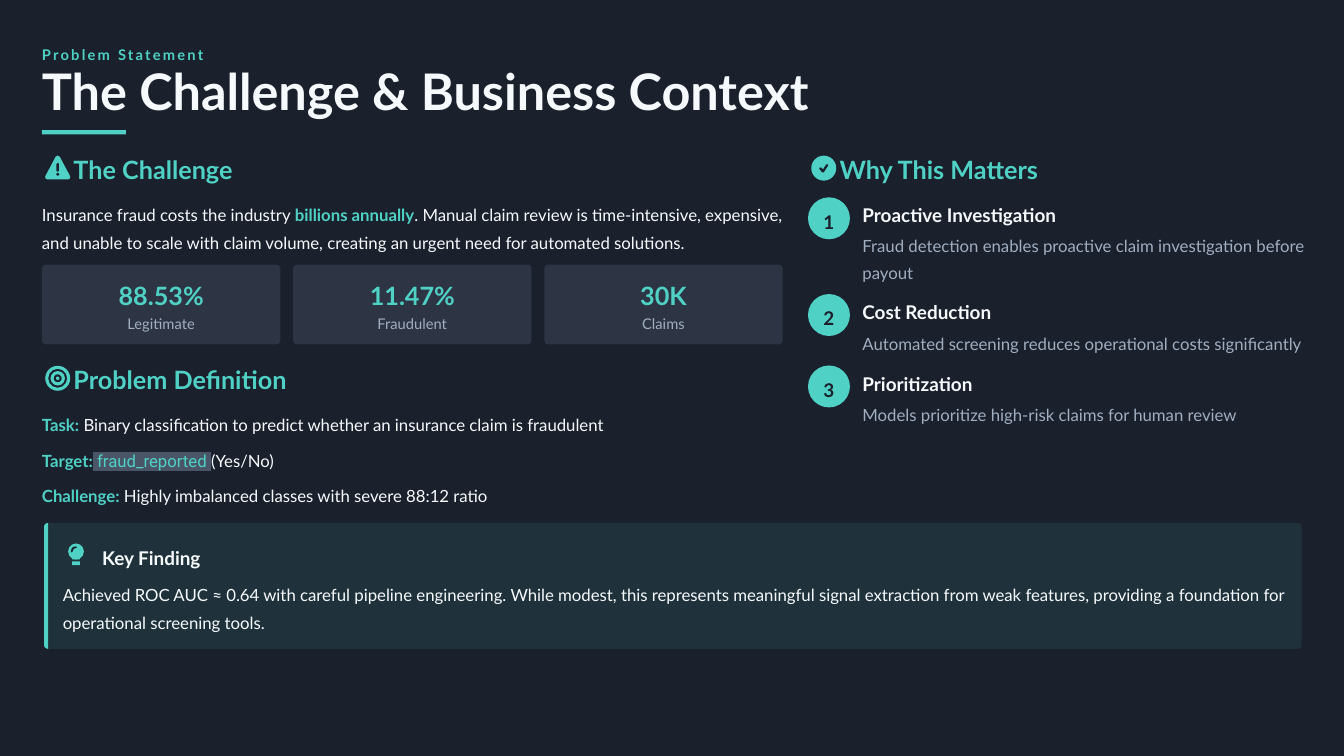
import math

import lxml.etree
import pptx
import pptx.dml.color
import pptx.enum.shapes
import pptx.enum.text
import pptx.oxml.ns
import pptx.util

Cm = pptx.util.Cm
SHAPE = pptx.enum.shapes.MSO_SHAPE
ALIGN = pptx.enum.text.PP_ALIGN
qn = pptx.oxml.ns.qn

COLOURS = {"night": "1A202C", "teal": "4FD1C5", "white": "F7FAFC",
           "grey": "A0AEC0", "slate": "4A5568"}
# Each style: colour name, font attributes
STYLES = {
    "eyebrow": ("teal", {"size": 14, "bold": True}),
    "title": ("white", {"size": 48, "bold": True}),
    "heading": ("teal", {"size": 24, "bold": True}),
    "item": ("white", {"size": 18, "bold": True}),
    "number": ("night", {"size": 18, "bold": True}),
    "body": ("white", {"size": 16, "bold": False}),
    "strong": ("teal", {"size": 16, "bold": True}),
    "code": ("teal", {"size": 16, "bold": False, "name": "Roboto"}),
    "detail": ("grey", {"size": 16, "bold": False}),
    "label": ("grey", {"size": 14, "bold": False}),
}
FRAME = {"margin_left": 0, "margin_top": 0, "margin_right": 0, "margin_bottom": 0,
         "word_wrap": True, "auto_size": pptx.enum.text.MSO_AUTO_SIZE.NONE,
         "vertical_anchor": pptx.enum.text.MSO_ANCHOR.MIDDLE}

# Icon parts: preset or points, box as fractions of the icon, colour, adjustment
WARNING = [
    ([(0.5, 0), (0.58, 0.04), (1, 0.83), (0.99, 0.91), (0.92, 0.95),
      (0.08, 0.95), (0.01, 0.91), (0, 0.83), (0.42, 0.04)], None, "teal", None),
    (SHAPE.ROUNDED_RECTANGLE, (0.45, 0.3, 0.1, 0.34), "night", 0.5),
    (SHAPE.OVAL, (0.44, 0.69, 0.12, 0.11), "night", None),
]
TARGET = [
    (SHAPE.DONUT, (0, 0, 1, 1), "teal", 0.12),
    (SHAPE.DONUT, (0.21, 0.21, 0.58, 0.58), "teal", 0.22),
    (SHAPE.OVAL, (0.43, 0.43, 0.14, 0.14), "teal", None),
]
CHECK = [
    (SHAPE.OVAL, (0, 0, 1, 1), "teal", None),
    ([(0.32, 0.49), (0.39, 0.47), (0.47, 0.55), (0.6, 0.35), (0.67, 0.35),
      (0.67, 0.4), (0.5, 0.67), (0.44, 0.67), (0.33, 0.54)], None, "night", None),
]
BULB = [
    (SHAPE.OVAL, (0, 0, 1, 0.74), "teal", None),
    (SHAPE.RECTANGLE, (0.25, 0.6, 0.5, 0.14), "teal", None),
    (SHAPE.ROUND_2_SAME_RECTANGLE, (0.25, 0.83, 0.5, 0.17), "teal", 0),
    ([(0.18, 0.36), (0.22, 0.23), (0.35, 0.15), (0.5, 0.14), (0.56, 0.17),
      (0.5, 0.21), (0.35, 0.25), (0.28, 0.38), (0.22, 0.42)], None, "night", None),
]


def rgb(name):
    return pptx.dml.color.RGBColor.from_string(COLOURS[name])


def paint(shape, colour, alpha=None):
    shape.shadow.inherit = False
    shape.fill.solid()
    shape.fill.fore_color.rgb = rgb(colour)
    shape.line.fill.background()
    if alpha is not None:
        node = shape.fill._xPr.find(".//" + qn("a:srgbClr"))
        lxml.etree.SubElement(node, qn("a:alpha")).set("val", str(alpha * 1000))
    return shape


def add_preset(page, kind, box, colour, adjust=None, alpha=None):
    shape = page.shapes.add_shape(kind, *map(Cm, box))
    if adjust is not None:
        shape.adjustments[0] = adjust
    return paint(shape, colour, alpha)


def add_outline(page, points, colour):
    places = [(Cm(x), Cm(y)) for x, y in points]
    builder = page.shapes.build_freeform(*places[0])
    builder.add_line_segments(places[1:], close=True)
    return paint(builder.convert_to_shape(), colour)


def write(shape, paras, spacing, align=ALIGN.LEFT, gap=0):
    """Fill a shape with paragraphs, each a list of (text, style) spans."""
    frame = shape.text_frame
    for key, value in FRAME.items():
        setattr(frame, key, value)
    for index, spans in enumerate(paras):
        para = frame.add_paragraph() if index else frame.paragraphs[0]
        if shape.is_placeholder:
            props = para._p.get_or_add_pPr()
            props.set("marL", "0")
            props.set("indent", "0")
            lxml.etree.SubElement(props, qn("a:buNone"))
        layout = {"alignment": align, "line_spacing": spacing, "space_after": 0,
                  "space_before": pptx.util.Pt(gap if index else 0)}
        for key, value in layout.items():
            setattr(para, key, value)
        for text, style in spans:
            span = para.add_run()
            span.text = text
            colour, values = STYLES[style]
            for key, value in {"name": "Lato", **values}.items():
                setattr(span.font, key, pptx.util.Pt(value) if key == "size" else value)
            span.font.color.rgb = rgb(colour)
            props = span._r.get_or_add_rPr()
            if style == "eyebrow":
                props.set("spc", "210")
            if style == "code":
                mark = lxml.etree.Element(qn("a:highlight"))
                lxml.etree.SubElement(mark, qn("a:srgbClr")).set("val", COLOURS["slate"])
                props.find(qn("a:latin")).addprevious(mark)


def add_text(page, box, spans, spacing, align=ALIGN.LEFT):
    write(page.shapes.add_textbox(*map(Cm, box)), [spans], spacing, align)


def fill_placeholder(shape, box, paras, spacing, gap=0):
    shape.left, shape.top, shape.width, shape.height = map(Cm, box)
    write(shape, paras, spacing, gap=gap)


def add_icon(page, parts, box):
    left, top, width, height = box
    for kind, part, colour, adjust in parts:
        if isinstance(kind, list):
            add_outline(page, [(left + x * width, top + y * height) for x, y in kind], colour)
        else:
            x, y, w, h = part
            place = (left + x * width, top + y * height, w * width, h * height)
            add_preset(page, kind, place, colour, adjust)


def add_header(page, left, top, width):
    add_text(page, (left, top, width, 0.71), [("Problem Statement", "eyebrow")], 1.2)
    fill_placeholder(page.shapes.title, (left, top + 0.98, width, 1.7),
                     [[("The Challenge & Business Context", "title")]], 0.8)
    add_preset(page, SHAPE.RECTANGLE, (left, top + 2.96, 2.82, 0.15), "teal")


def add_heading(page, left, top, width, icon, text):
    add_icon(page, icon, (left + 0.11, top + 0.15, 0.84, 0.84))
    add_text(page, (left + 1.06, top, width - 1.06, 1.12), [(text, "heading")], 1.1)


def add_challenge(page, left, top, width):
    add_heading(page, left, top, width, WARNING, "The Challenge")
    add_text(page, (left, top + 1.55, width, 1.83), [
        ("Insurance fraud costs the industry ", "body"), ("billions annually", "strong"),
        (". Manual claim review is time-intensive, expensive, and unable to scale with claim "
         "volume, creating an urgent need for automated solutions.", "body")], 1.4)
    # Figure cards
    figures = [("88.53%", "Legitimate"), ("11.47%", "Fraudulent"), ("30K", "Claims")]
    card, gap, row = 8.01, 0.43, top + 3.81
    for index, (value, label) in enumerate(figures):
        x = left + index * (card + gap)
        add_preset(page, SHAPE.ROUNDED_RECTANGLE, (x, row, card, 2.68), "slate", 0.05, 40)
        add_text(page, (x, row + 0.44, card, 1.12), [(value, "heading")], 1.1, ALIGN.CENTER)
        add_text(page, (x, row + 1.56, card, 0.71), [(label, "label")], 1.2, ALIGN.CENTER)


def add_definition(page, left, top, width):
    add_heading(page, left, top, width, TARGET, "Problem Definition")
    fill_placeholder(page.placeholders[1], (left, top + 1.55, width, 3.3), [
        [("Task:", "strong"),
         (" Binary classification to predict whether an insurance claim is fraudulent", "body")],
        [("Target:", "strong"), (" fraud_reported ", "code"), ("(Yes/No)", "body")],
        [("Challenge:", "strong"),
         (" Highly imbalanced classes with severe 88:12 ratio", "body")]], 1.4, gap=7)


def add_reasons(page, left, top, width):
    add_heading(page, left, top, width, CHECK, "Why This Matters")
    # Title, detail, number of detail lines
    reasons = [
        ("Proactive Investigation",
         "Fraud detection enables proactive claim investigation before payout", 2),
        ("Cost Reduction", "Automated screening reduces operational costs significantly", 1),
        ("Prioritization", "Models prioritize high-risk claims for human review", 1)]
    y, x = top + 1.55, left + 1.83
    for number, (title, detail, lines) in enumerate(reasons, 1):
        badge = add_preset(page, SHAPE.OVAL, (left, y, 1.41, 1.41), "teal")
        write(badge, [[(str(number), "number")]], 1.3, ALIGN.CENTER)
        add_text(page, (x, y, width - 1.83, 0.99), [(title, "item")], 1.3)
        add_text(page, (x, y + 1.13, width - 1.83, 0.85 * lines), [(detail, "detail")], 1.3)
        y += 1.13 + 0.85 * lines + 0.42


def add_finding(page, left, top, width, height):
    add_preset(page, SHAPE.ROUNDED_RECTANGLE, (left, top, width, height), "teal", 0.03, 10)
    # Accent edge, rounded on its left side
    radius = 0.14
    turns = [math.radians(step * 15) for step in range(7)]
    upper = [(left + radius * (1 - math.sin(turn)), top + radius * (1 - math.cos(turn)))
             for turn in turns]
    lower = [(x, 2 * top + height - y) for x, y in reversed(upper)]
    add_outline(page, upper + lower, "teal")
    add_icon(page, BULB, (left + 0.81, top + 0.69, 0.53, 0.73))
    add_text(page, (left + 1.95, top + 0.56, 3.6, 0.99), [("Key Finding", "item")], 1.3)
    add_text(page, (left + 0.63, top + 1.83, width - 0.91, 1.83), [
        ("Achieved ROC AUC ≈ 0.64 with careful pipeline engineering. While modest, this "
         "represents meaningful signal extraction from weak features, providing a foundation "
         "for operational screening tools.", "body")], 1.4)


def main():
    deck = pptx.Presentation()
    deck.slide_width, deck.slide_height = Cm(45.16), Cm(25.4)
    page = deck.slides.add_slide(deck.slide_layouts[1])
    page.background.fill.solid()
    page.background.fill.fore_color.rgb = rgb("night")
    add_header(page, 1.41, 1.41, 42.57)
    add_challenge(page, 1.41, 5.08, 25.2)
    add_definition(page, 1.41, 12.14, 25.2)
    add_reasons(page, 27.15, 5.08, 16.9)
    add_finding(page, 1.48, 17.57, 42.26, 4.23)
    deck.save("out.pptx")


if __name__ == "__main__":
    main()
